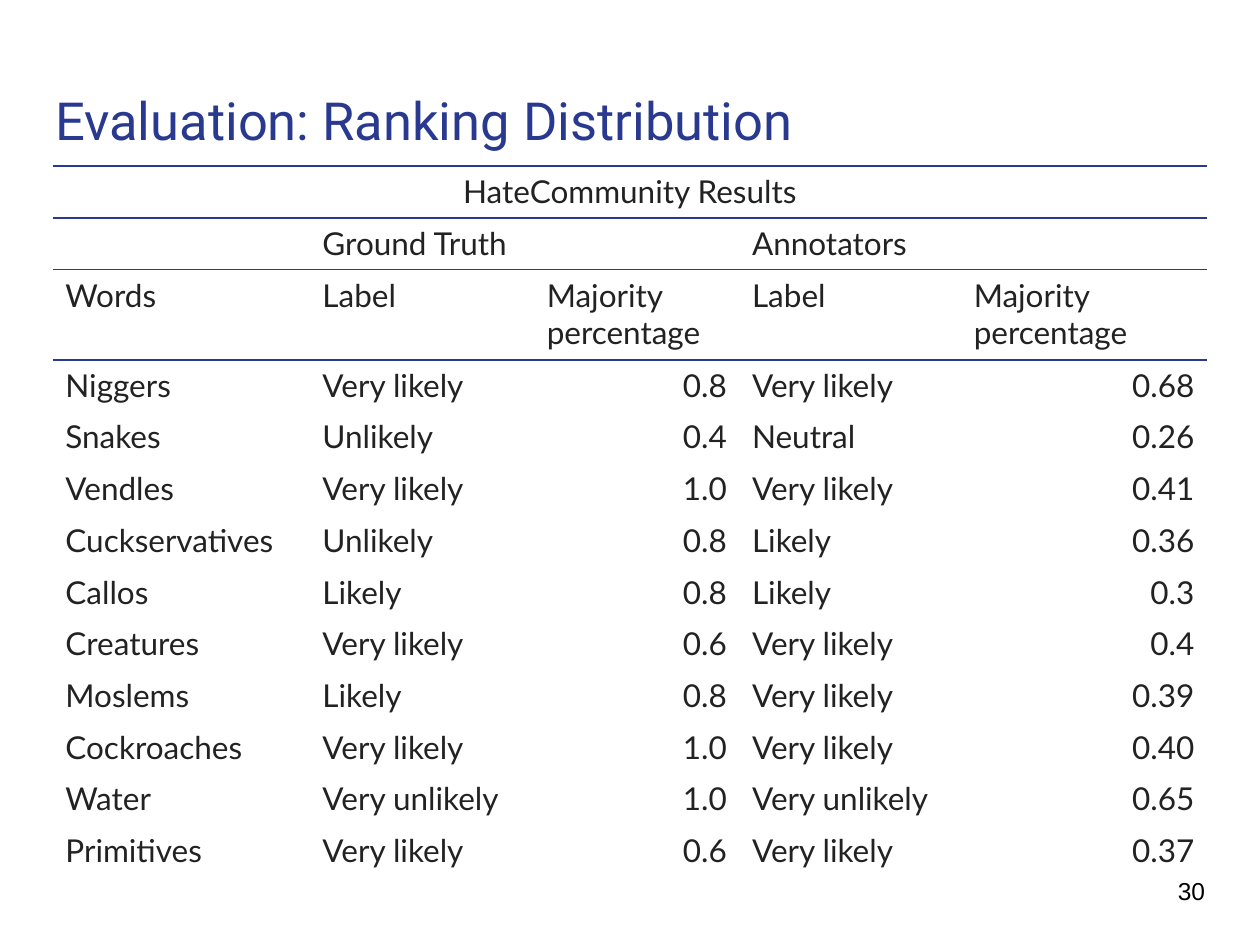
"""Build the ranking distribution slide with its results table."""
from typing import NamedTuple

from lxml import etree
from pptx import Presentation
from pptx.dml.color import RGBColor
from pptx.enum.text import MSO_ANCHOR, PP_ALIGN
from pptx.oxml.ns import qn
from pptx.util import Pt

LEFT, CENTER, RIGHT = PP_ALIGN.LEFT, PP_ALIGN.CENTER, PP_ALIGN.RIGHT
TOP, MIDDLE = MSO_ANCHOR.TOP, MSO_ANCHOR.MIDDLE

COLORS = {"blue": "2A3990", "body": "222222", "black": "000000"}
COL_WIDTHS = (146.9, 128.2, 117.3, 126.7, 140.4)
ROW_HEIGHT, HEADING_HEIGHT = 29.55, 51.6
HEADING_ROW = 2


class Style(NamedTuple):
    font: str
    size: float
    color: str


class Label(NamedTuple):
    text: str
    left: float
    top: float
    width: float
    height: float
    anchor: MSO_ANCHOR
    style: Style


class Span(NamedTuple):
    row: int
    first: int
    last: int


class Result(NamedTuple):
    word: str
    truth: str
    truth_share: str
    annotators: str
    annotators_share: str


BODY = Style("Lato", 18, "body")
LABELS = (
    Label("Evaluation: Ranking Distribution", 24.5, 43.2, 671, 64, TOP,
          Style("Roboto", 30, "blue")),
    Label("30", 666, 488.2, 43.2, 41, MIDDLE, Style("Arial", 14, "black")),
)
SPANS = (Span(0, 0, 4), Span(1, 1, 2), Span(1, 3, 4))
HEADINGS = (
    ("HateCommunity Results", "", "", "", ""),
    ("", "Ground Truth", "", "Annotators", ""),
    ("Words", "Label", "Majority percentage", "Label", "Majority percentage"),
)
RESULTS = (
    Result("Niggers", "Very likely", "0.8", "Very likely", "0.68"),
    Result("Snakes", "Unlikely", "0.4", "Neutral", "0.26"),
    Result("Vendles", "Very likely", "1.0", "Very likely", "0.41"),
    Result("Cuckservatives", "Unlikely", "0.8", "Likely", "0.36"),
    Result("Callos", "Likely", "0.8", "Likely", "0.3"),
    Result("Creatures", "Very likely", "0.6", "Very likely", "0.4"),
    Result("Moslems", "Likely", "0.8", "Very likely", "0.39"),
    Result("Cockroaches", "Very likely", "1.0", "Very likely", "0.40"),
    Result("Water", "Very unlikely", "1.0", "Very unlikely", "0.65"),
    Result("Primitives", "Very likely", "0.6", "Very likely", "0.37"),
)


def add_text(tf, text: str, style: Style, align: PP_ALIGN = LEFT) -> None:
    p = tf.paragraphs[0]
    p.alignment = align
    r = p.add_run()
    r.text = text
    r.font.name = style.font
    r.font.size = Pt(style.size)
    r.font.color.rgb = RGBColor.from_string(COLORS[style.color])


def add_label(s, label: Label) -> None:
    sp = s.shapes.add_textbox(Pt(label.left), Pt(label.top),
                              Pt(label.width), Pt(label.height))
    tf = sp.text_frame
    tf.word_wrap = True
    tf.vertical_anchor = label.anchor
    tf.margin_left = tf.margin_right = Pt(7.2)
    tf.margin_top = tf.margin_bottom = Pt(7.2)
    add_text(tf, label.text, label.style)


def set_borders(cell, ruled: str) -> None:
    props = cell._tc.get_or_add_tcPr()
    for index, side in enumerate("LRTB"):
        line = etree.Element(qn(f"a:ln{side}"), w=str(Pt(1)))
        if side in ruled:
            fill = etree.SubElement(line, qn("a:solidFill"))
            etree.SubElement(fill, qn("a:srgbClr"), val=COLORS["blue"])
        else:
            etree.SubElement(line, qn("a:noFill"))
        props.insert(index, line)


def cell_align(row: int, col: int) -> PP_ALIGN:
    if row == 0:
        return CENTER
    return RIGHT if row > HEADING_ROW and col in (2, 4) else LEFT


def add_results(s) -> None:
    rows = HEADINGS + RESULTS
    height = ROW_HEIGHT * (len(rows) - 1) + HEADING_HEIGHT
    table = s.shapes.add_table(len(rows), len(COL_WIDTHS), Pt(30.2), Pt(95),
                               Pt(sum(COL_WIDTHS)), Pt(height)).table
    table.first_row = table.horz_banding = False
    for col, width in zip(table.columns, COL_WIDTHS):
        col.width = Pt(width)
    for i, values in enumerate(rows):
        table.rows[i].height = Pt(HEADING_HEIGHT if i == HEADING_ROW else ROW_HEIGHT)
        ruled = ("T" if i <= HEADING_ROW + 1 else "") + ("B" if i <= HEADING_ROW else "")
        for j, value in enumerate(values):
            cell = table.cell(i, j)
            cell.fill.background()
            set_borders(cell, ruled)
            if value:
                add_text(cell.text_frame, value, BODY, cell_align(i, j))
    for span in SPANS:
        table.cell(span.row, span.first).merge(table.cell(span.row, span.last))


def main() -> None:
    prs = Presentation()
    prs.slide_width, prs.slide_height = Pt(720), Pt(540)
    s = prs.slides.add_slide(prs.slide_layouts[6])
    for label in LABELS:
        add_label(s, label)
    add_results(s)
    prs.save("out.pptx")


if __name__ == "__main__":
    main()
